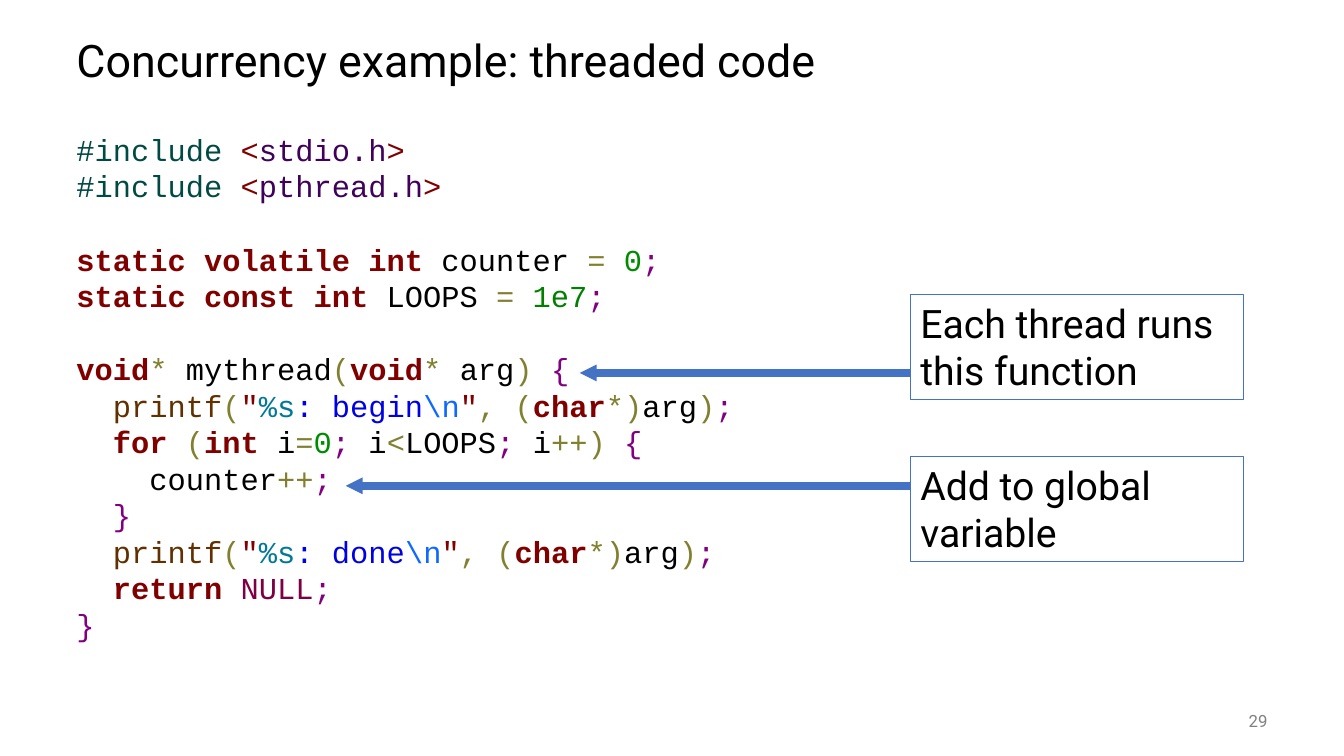
"""Build a slide that explains threaded C code with two callouts."""
from lxml import etree
from pptx import Presentation
from pptx import util as u
from pptx.dml import color
from pptx.enum import shapes, text
from pptx.oxml import ns

SYNTAX = {
    "d": "004A43", "q": "800000", "k": "800000", "h": "40015A",
    "t": "000000", "o": "808030", "n": "008C00", "e": "008000",
    "s": "800080", "f": "603000", "m": "007997", "l": "0000E6",
    "x": "0F69FF", "c": "7D0045",
}
KEYWORD = "k"
CODE_PITCH = 26.1


def printf_line(word):
    return rf't  |fprintf|o(|q"|m%s|l: {word}|x\n|q"|o, (|kchar|o*)|targ|o)|s;'


CODE_BLOCKS = [
    ["d#include |q<|hstdio.h|q>",
     "d#include |q<|hpthread.h|q>"],
    ["kstatic volatile int|t counter |o= |n0|s;",
     "kstatic const int|t LOOPS |o= |e1e7|s;"],
    ["kvoid|o* |tmythread|o(|kvoid|o* |targ|o) |s{",
     printf_line("begin"),
     "k  for |o(|kint |ti|o=|n0|s; |ti|o<|tLOOPS|s; |ti|o++) |s{",
     "t    counter|o++|s;",
     "t  |s}",
     printf_line("done"),
     "t  |kreturn |cNULL|s;",
     "s}"],
]

CALLOUTS = [
    ("Each thread runs this function", 2.92, 5.75, 3.7),
    ("Add to global variable", 4.53, 3.43, 4.82),
]


def rgb(value):
    return color.RGBColor.from_string(value)


def add_text(paragraph, wording, font="Roboto", size=28, ink="000000", bold=False):
    run = paragraph.add_run()
    run.text = wording
    run.font.name = font
    run.font.size = u.Pt(size)
    run.font.bold = bold
    run.font.color.rgb = rgb(ink)


class CodeSlide:
    accent = "4472C4"
    callout_left = 9.03

    def __init__(self, slide):
        self.slide = slide

    def box(self, left, top, width, height, anchor=text.MSO_ANCHOR.TOP):
        frame = self.slide.shapes.add_textbox(
            *map(u.Inches, (left, top, width, height))).text_frame
        frame.word_wrap = True
        frame.vertical_anchor = anchor
        return frame

    def title(self, wording):
        line = self.box(0.66, 0.25, 12, 0.75, text.MSO_ANCHOR.MIDDLE).paragraphs[0]
        line.line_spacing = 0.9
        add_text(line, wording, size=32)

    def page_number(self, number):
        line = self.box(11.67, 6.95, 1, 0.4, text.MSO_ANCHOR.MIDDLE).paragraphs[0]
        line.alignment = text.PP_ALIGN.RIGHT
        add_text(line, number, size=12, ink="808080")

    def code(self, blocks):
        frame = self.box(0.66, 1.25, 12, 5.5)
        for block_index, block in enumerate(blocks):
            for line_index, tokens in enumerate(block):
                first = block_index == line_index == 0
                line = frame.paragraphs[0] if first else frame.add_paragraph()
                line.line_spacing = u.Pt(CODE_PITCH)
                if block_index and line_index == 0:
                    line.space_before = u.Pt(CODE_PITCH)
                for token in tokens.split("|"):
                    kind = token[0]
                    add_text(line, token[1:], font="Courier New", size=21.7,
                             ink=SYNTAX[kind], bold=kind == KEYWORD)

    def callout(self, wording, top):
        panel = self.slide.shapes.add_shape(
            shapes.MSO_SHAPE.RECTANGLE,
            *map(u.Inches, (self.callout_left, top, 3.3, 1.04)))
        panel.shadow.inherit = False
        panel.fill.background()
        panel.line.color.rgb = rgb(self.accent)
        panel.line.width = u.Pt(0.75)
        frame = panel.text_frame
        frame.word_wrap = True
        frame.auto_size = text.MSO_AUTO_SIZE.SHAPE_TO_FIT_TEXT
        frame.vertical_anchor = text.MSO_ANCHOR.TOP
        frame.paragraphs[0].alignment = text.PP_ALIGN.LEFT
        add_text(frame.paragraphs[0], wording)

    def arrow(self, tip, height):
        arrow = self.slide.shapes.add_connector(
            shapes.MSO_CONNECTOR.STRAIGHT,
            *map(u.Inches, (self.callout_left, height, tip, height)))
        arrow.line.color.rgb = rgb(self.accent)
        arrow.line.width = u.Pt(6)
        etree.SubElement(arrow.line._get_or_add_ln(), ns.qn("a:tailEnd"), type="triangle",
                         w="sm", len="sm")
        etree.SubElement(arrow._element.spPr, ns.qn("a:effectLst"))


def main():
    deck = Presentation()
    deck.slide_width = u.Inches(13.33)
    deck.slide_height = u.Inches(7.5)
    page = CodeSlide(deck.slides.add_slide(deck.slide_layouts[6]))
    page.title("Concurrency example: threaded code")
    page.code(CODE_BLOCKS)
    page.page_number("29")
    for wording, top, tip, height in CALLOUTS:
        page.callout(wording, top)
        page.arrow(tip, height)
    deck.save("out.pptx")


if __name__ == "__main__":
    main()
